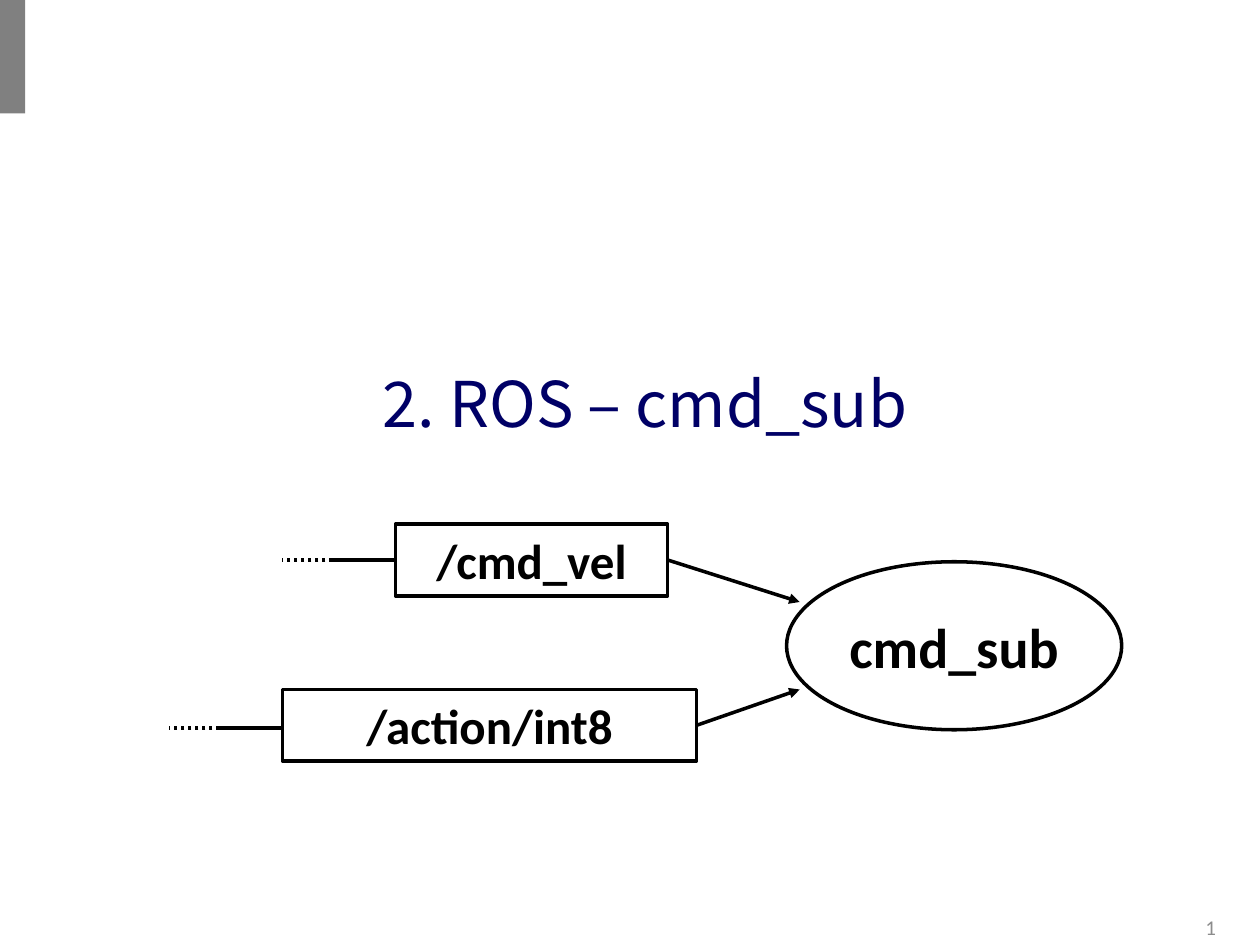
import pptx
import pptx.dml.color
import pptx.enum.dml
import pptx.enum.shapes
import pptx.enum.text
import pptx.oxml.ns
import pptx.util
from lxml import etree

Pt = pptx.util.Pt
RGB = pptx.dml.color.RGBColor.from_string
SHAPES = pptx.enum.shapes.MSO_SHAPE
ALIGN = pptx.enum.text.PP_ALIGN
ANCHOR = pptx.enum.text.MSO_ANCHOR
COLORS = {"ink": "000000", "paper": "FFFFFF", "accent": "808080",
          "title": "000066", "number": "8C8C8C"}


def write(frame, words, size, color, font="Calibri", bold=False, align=ALIGN.CENTER):
    """Put one formatted paragraph into a text frame."""
    frame.text = words
    frame.word_wrap = True
    frame.vertical_anchor = ANCHOR.MIDDLE
    line = frame.paragraphs[0]
    line.alignment = align
    style = line.runs[0].font
    style.name, style.size, style.bold = font, Pt(size), bold
    style.color.rgb = RGB(COLORS[color])
    return line


def add_node(group, kind, box, words, size):
    """Draw an outlined graph node with a bold label."""
    node = group.shapes.add_shape(kind, *map(Pt, box))
    node.shadow.inherit = False
    node.fill.solid()
    node.fill.fore_color.rgb = RGB(COLORS["paper"])
    node.line.color.rgb = RGB(COLORS["ink"])
    node.line.width = Pt(2)
    write(node.text_frame, words, size, "ink", bold=True)


def add_link(group, start, end, arrow=False, dotted=False):
    """Draw a straight link, with an arrowhead or dots if asked."""
    link = group.shapes.add_connector(
        pptx.enum.shapes.MSO_CONNECTOR.STRAIGHT, *map(Pt, (*start, *end)))
    link.line.color.rgb = RGB(COLORS["ink"])
    link.line.width = Pt(2)
    if dotted:
        link.line.dash_style = pptx.enum.dml.MSO_LINE.ROUND_DOT
    qn = pptx.oxml.ns.qn
    if arrow:
        etree.SubElement(link.line._get_or_add_ln(), qn("a:tailEnd"), type="triangle")
    etree.SubElement(link._element.spPr, qn("a:effectLst"))


def add_topic(group, box, words, target, stub_drop=0):
    """Draw a topic with its fading input stub and its arrow to the subscriber."""
    left, top, width, height = box
    middle = top + height / 2
    stub = middle + stub_drop
    add_node(group, SHAPES.RECTANGLE, box, words, 28)
    add_link(group, (left + width, middle), target, arrow=True)
    add_link(group, (left, stub), (left - 37, stub))
    add_link(group, (left - 28, stub), (left - 65, stub), dotted=True)


def add_graph(slide, box):
    """Draw the two topics feeding the subscriber node."""
    left, top, width, height = box
    group = slide.shapes.add_group_shape()
    node_width, node_height = 191.5, 96
    node_left = left + width - node_width
    node_top = top + 21.5
    add_node(group, SHAPES.OVAL, (node_left, node_top, node_width, node_height),
             "cmd_sub", 32)
    node_middle = node_top + node_height / 2
    topic_height = 41
    add_topic(group, (left + 129.5, top, 155.5, topic_height), "/cmd_vel",
              (node_left + 7.5, node_middle - 25))
    add_topic(group, (left + 65, top + height - topic_height, 236.5, topic_height),
              "/action/int8", (node_left + 7.5, node_middle + 25), stub_drop=1.5)


def add_title(slide, box):
    """Place and format the slide title."""
    title = slide.shapes.title
    title.left, title.top, title.width, title.height = map(Pt, box)
    line = write(title.text_frame, "2. ROS – cmd_sub", 36, "title", "Noto Sans CJK KR")
    line.line_spacing = 0.9


def add_accent(slide, box):
    """Draw the grey corner bar."""
    bar = slide.shapes.add_shape(SHAPES.RECTANGLE, *map(Pt, box))
    bar.shadow.inherit = False
    bar.fill.solid()
    bar.fill.fore_color.rgb = RGB(COLORS["accent"])
    bar.line.fill.background()


def add_number(slide, box):
    """Write the page number."""
    number = slide.shapes.add_textbox(*map(Pt, box))
    write(number.text_frame, "1", 12, "number", align=ALIGN.RIGHT)


def main():
    """Build and save the slide."""
    deck = pptx.Presentation()
    deck.slide_width, deck.slide_height = Pt(720), Pt(540)
    slide = deck.slides.add_slide(deck.slide_layouts[5])
    add_accent(slide, (0, 0, 14.4, 64.8))
    add_number(slide, (540, 519, 162, 21))
    add_title(slide, (44.6, 200, 648, 64.8))
    add_graph(slide, (96.5, 299.5, 544.5, 135.5))
    deck.save("out.pptx")


if __name__ == "__main__":
    main()
